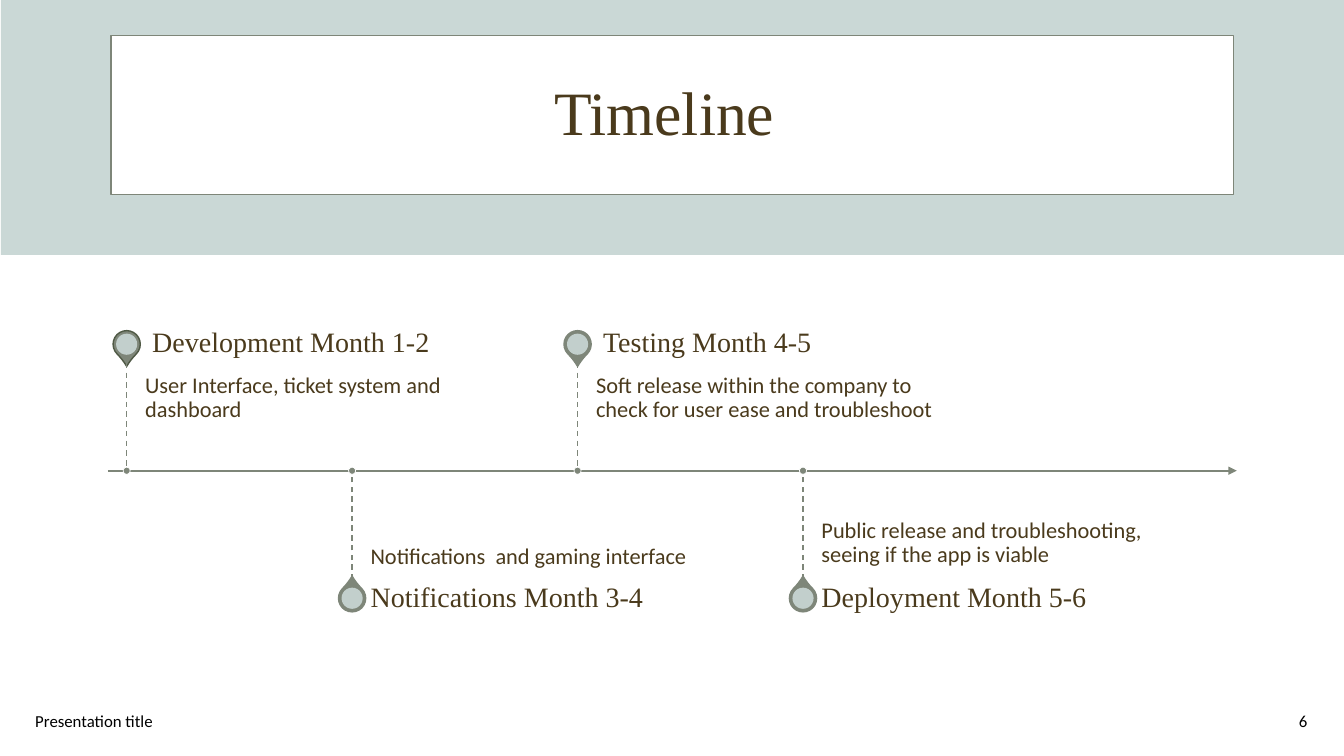
from pptx import Presentation
from pptx.dml.color import RGBColor
from pptx.enum.dml import MSO_LINE as Dash
from pptx.enum.shapes import MSO_CONNECTOR as Link, MSO_SHAPE as Form
from pptx.enum.text import MSO_ANCHOR as Anchor, PP_ALIGN as Align
from pptx.oxml.ns import qn
from pptx.util import Inches, Pt
from lxml.etree import SubElement

SAGE, MIST, MOSS, BARK = "7E8679", "CAD8D6", "4F5945", "4A3A1C"
WHITE, BLACK = "FFFFFF", "000000"
SERIF, SANS = "Times New Roman", "Calibri"
COLS, ROWS = 160, 90


def paint(fmt, color):
    fmt.solid()
    fmt.fore_color.rgb = RGBColor.from_string(color)


class Deck:
    """Style and current slide; all lengths are columns and rows of the grid."""

    def __init__(self):
        self.prs = Presentation()
        self.prs.slide_width = Inches(13.333)
        self.prs.slide_height = Inches(7.5)
        self.col = self.prs.slide_width / COLS
        self.row = self.prs.slide_height / ROWS
        self.slide = self.prs.slides.add_slide(self.prs.slide_layouts[6])

    def place(self, x, y, w, h):
        return [int(x * self.col), int(y * self.row),
                int(w * self.col), int(h * self.row)]

    def shape(self, form, box, fill, line=None, width=1):
        item = self.slide.shapes.add_shape(form, *self.place(*box))
        item.shadow.inherit = False
        paint(item.fill, fill)
        if line:
            paint(item.line.fill, line)
            item.line.width = Pt(width)
        else:
            item.line.fill.background()
        return item

    def round(self, form, x, y, size, fill, line=None, width=1):
        """Shape of equal sides centred on a point."""
        box = (x - size / 2, y - size / 2, size, size)
        return self.shape(form, box, fill, line, width)

    def line(self, x1, y1, x2, y2, width=1):
        a, b, c, d = self.place(x1, y1, x2, y2)
        item = self.slide.shapes.add_connector(Link.STRAIGHT, a, b, c, d)
        paint(item.line.fill, SAGE)
        item.line.width = Pt(width)
        SubElement(item._element.spPr, qn("a:effectLst"))
        return item

    def text(self, words, box, size, font, color=BARK, align=Align.LEFT,
             anchor=Anchor.MIDDLE, pad=(1.2, 0.6, 1.2, 0.6), space=0.9):
        item = self.slide.shapes.add_textbox(*self.place(*box))
        frame = item.text_frame
        frame.word_wrap = True
        frame.vertical_anchor = anchor
        (frame.margin_left, frame.margin_top,
         frame.margin_right, frame.margin_bottom) = self.place(*pad)
        para = frame.paragraphs[0]
        para.text = words
        para.alignment = align
        para.line_spacing = space
        para.font.size = Pt(size)
        para.font.name = font
        para.font.color.rgb = RGBColor.from_string(color)

    def arrow(self, x1, x2, y):
        item = self.line(x1, y, x2, y, 1.5)
        SubElement(item.line._get_or_add_ln(), qn("a:tailEnd"), type="triangle")

    def pin(self, x, y, turn, edge):
        drop = self.round(Form.TEAR, x, y, 3.24, SAGE, edge)
        drop.adjustments[0] = 1.15
        drop.rotation = turn
        disc = self.round(Form.OVAL, x, y, 2.52, MIST)
        tone = disc._element.spPr.find(qn("a:solidFill"))[0]
        SubElement(tone, qn("a:alpha"), val="90000")

    def stage(self, x, axis, above, head, body, edge):
        """Milestone with its pin, stem and texts on one side of the axis."""
        left, width, tall = x + 2.2, 44.64, 4.56
        if above:
            end, pin, turn = axis - 12.84, axis - 15.06, 135
            top, start, indent = end - tall, end, 0.83
            anchor, pad = Anchor.TOP, (0, 1.32, 1.32, 2.04)
        else:
            end, pin, turn = axis + 12.96, axis + 15.18, 315
            top, start, indent = end, axis, 0
            anchor, pad = Anchor.BOTTOM, (0, 2.04, 0, 1.32)
        self.pin(x, pin, turn, edge)
        self.text(body, (left, start, width, 12.84), 16, SANS,
                  anchor=anchor, pad=pad)
        self.text(head, (left, top, width, tall), 20, SERIF,
                  pad=(indent, 0, 1.68, 0))
        self.line(x, end, x, axis).line.dash_style = Dash.DASH
        self.round(Form.OVAL, x, axis, 0.84, SAGE, WHITE, 0.5)


STAGES = [
    ("Development Month 1-2", "User Interface, ticket system and dashboard"),
    ("Notifications Month 3-4", "Notifications  and gaming interface"),
    ("Testing Month 4-5", "Soft release within the company to check for "
     "user ease and troubleshoot"),
    ("Deployment Month 5-6", "Public release and troubleshooting, seeing if "
     "the app is viable"),
]


def main():
    deck = Deck()
    deck.shape(Form.RECTANGLE, (0.1, 0, 159.9, 30.36), MIST)
    deck.shape(Form.RECTANGLE, (13.2, 4.2, 133.68, 18.96), WHITE, SAGE)
    deck.text("Timeline", (4.1, 5, 150, 17.4), 44, SERIF, align=Align.CENTER)
    deck.text("Presentation title", (3, 83.4, 54, 4.8), 12, SANS, BLACK, space=1)
    deck.text("6", (120.84, 83.4, 36, 4.8), 12, SANS, BLACK, Align.RIGHT, space=1)

    axis, first, step = 56.04, 15.08, 26.84
    deck.arrow(12.84, 147.24, axis)
    for i, (head, body) in enumerate(STAGES):
        edge = SAGE if i else MOSS
        deck.stage(first + i * step, axis, i % 2 == 0, head, body, edge)
    deck.prs.save("out.pptx")


if __name__ == "__main__":
    main()
